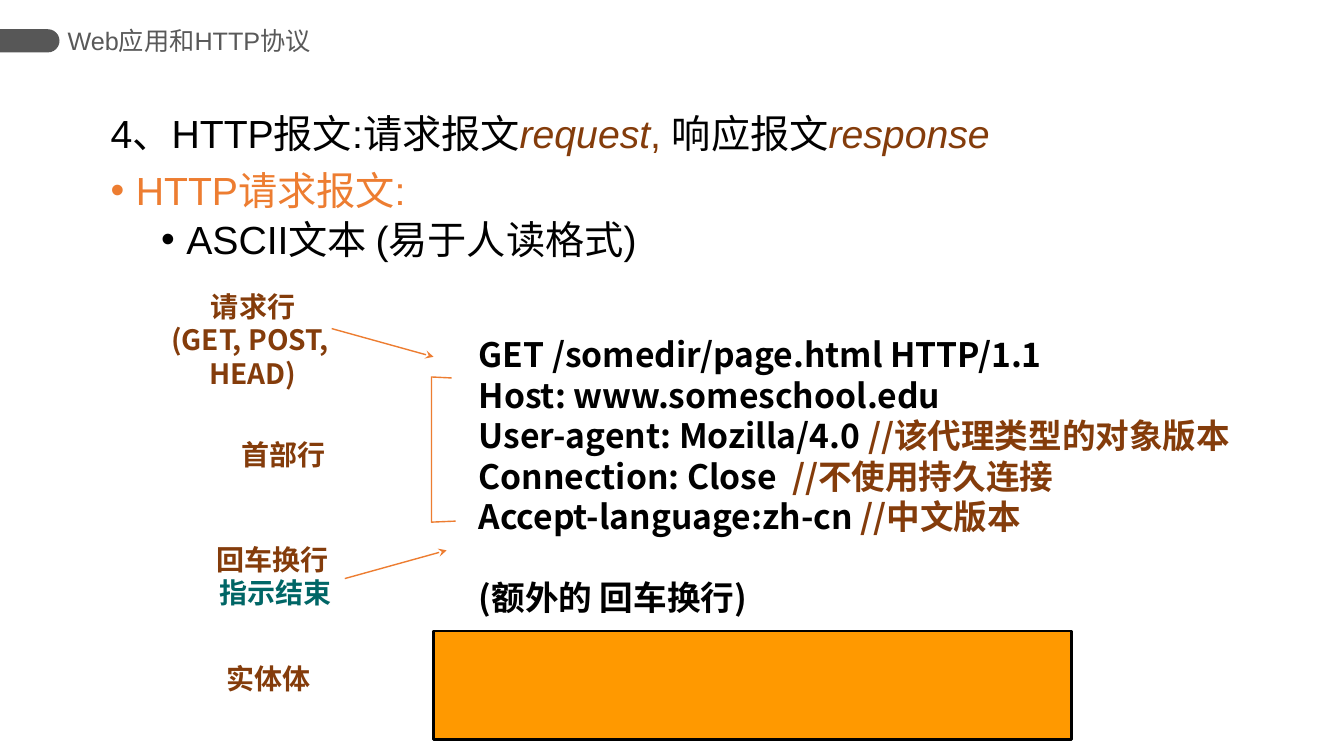
import dataclasses

import pptx
import pptx.dml.color
import pptx.enum.shapes
import pptx.enum.text
import pptx.oxml.ns
import pptx.util
from lxml import etree

Inches, Pt = pptx.util.Inches, pptx.util.Pt
RGB = pptx.dml.color.RGBColor.from_string
SHAPE = pptx.enum.shapes.MSO_SHAPE
ALIGN = pptx.enum.text.PP_ALIGN
qn = pptx.oxml.ns.qn


@dataclasses.dataclass(frozen=True)
class Theme:
    black: str = "000000"
    brown: str = "843C0B"
    teal: str = "006666"
    orange: str = "ED7D31"
    amber: str = "FF9900"
    pill: str = "575757"
    header: str = "595959"
    sans: str = "Arial"
    bold: str = "Noto Sans CJK SC"
    comic: str = "Comic Neue"
    header_size: int = 18
    body_size: int = 28
    message_size: int = 24
    label_size: int = 20


theme = Theme()

prs = pptx.Presentation()
prs.slide_width, prs.slide_height = Inches(13.33), Inches(7.5)
s = prs.slides.add_slide(prs.slide_layouts[6])


def add_text(box, lines, font, size, bold=False, wrap=True):
    """Add a text box; each line is a list of (text, colour) runs."""
    tf = s.shapes.add_textbox(*map(Inches, box)).text_frame
    tf.word_wrap = wrap
    for i, line in enumerate(lines):
        p = tf.paragraphs[0] if i == 0 else tf.add_paragraph()
        for text, color in line:
            r = p.add_run()
            r.text = text
            r.font.name, r.font.size, r.font.bold = font, Pt(size), bold
            r.font.color.rgb = RGB(color)
        if bold:
            p.line_spacing = Pt(round(size * 1.21))
    return tf


# Header
pill = s.shapes.add_shape(SHAPE.ROUND_2_SAME_RECTANGLE,
                          Inches(0.18), Inches(0.11), Inches(0.23), Inches(0.59))
pill.rotation = 90
pill.adjustments[0] = 0.5
pill.shadow.inherit = False
pill.fill.solid()
pill.fill.fore_color.rgb = RGB(theme.pill)
pill.line.fill.background()

tf = add_text((0.67, 0.19, 2.63, 0.42), [[("Web应用和HTTP协议", theme.header)]],
              theme.sans, theme.header_size)
tf.margin_left = tf.margin_right = 0
tf.vertical_anchor = pptx.enum.text.MSO_ANCHOR.MIDDLE

# Heading and bullets
tf = add_text((1, 1.09, 11.33, 1.7), [
    [("4、HTTP报文:请求报文", theme.black), ("request", theme.brown), (", ", theme.brown),
     ("响应报文", theme.black), ("response", theme.brown)],
    [("HTTP请求报文:", theme.orange)],
    [("ASCII文本 (易于人读格式)", theme.black)],
], theme.sans, theme.body_size)
heading, *bullets = tf.paragraphs
for r in heading.runs:
    r.font.italic = r.text in ("request", "response")
heading.line_spacing = 0.9
for level, (p, indent, before) in enumerate(zip(bullets, (0.25, 0.75), (10, 5))):
    p.level = level
    pPr = p._p.get_or_add_pPr()
    pPr.set("marL", str(Inches(indent)))
    pPr.set("indent", str(Inches(-0.25)))
    etree.SubElement(pPr, qn("a:buFont")).set("typeface", theme.sans)
    etree.SubElement(pPr, qn("a:buChar")).set("char", "•")
    p.line_spacing = 0.9
    p.space_before = Pt(before)

# Request message
tf = add_text((4.65, 3.26, 7.97, 2.93), [
    [("GET /somedir/page.html HTTP/1.1", theme.black)],
    [("Host: www.someschool.edu", theme.black)],
    [("User-agent: Mozilla/4.0 ", theme.black), ("//该代理类型的对象版本", theme.brown)],
    [("Connection: Close  ", theme.black), ("//不使用持久连接", theme.brown)],
    [("Accept-language:zh-cn ", theme.black), ("//中文版本", theme.brown)],
    [("(额外的 回车换行)", theme.black)],
], theme.bold, theme.message_size, bold=True)
tf.paragraphs[-1].space_before = tf.paragraphs[-1].line_spacing

# Labels on the left
request_line = add_text((1.27, 2.82, 2.48, 1.11),
                        [[(text, theme.brown)] for text in ("请求行", "(GET, POST, ", "HEAD)")],
                        theme.bold, theme.label_size, bold=True)
line_end = add_text((2.01, 5.33, 1.45, 0.77),
                    [[("回车换行 ", theme.brown)], [("指示结束", theme.teal)]],
                    theme.bold, theme.label_size, bold=True, wrap=False)
for p in request_line.paragraphs + line_end.paragraphs:
    p.alignment = ALIGN.CENTER
for text, left, top in (("首部行", 2.3, 4.29), ("实体体", 2.15, 6.51)):
    add_text((left, top, 1.98, 0.44), [[(text, theme.brown)]],
             theme.comic, theme.label_size, bold=True)

# Arrows from labels to message lines
for ends in ((3.29, 3.26, 4.3, 3.54), (3.42, 5.74, 4.43, 5.46)):
    arrow = s.shapes.add_connector(pptx.enum.shapes.MSO_CONNECTOR.STRAIGHT,
                                   *map(Inches, ends))
    arrow.line.color.rgb = RGB(theme.orange)
    arrow.line.width = Pt(1)
    etree.SubElement(arrow.line._get_or_add_ln(), qn("a:tailEnd")).set("type", "stealth")
    etree.SubElement(arrow._element.spPr, qn("a:effectLst"))

# Bracket around the header lines
outline = s.shapes.build_freeform(Inches(4.48), Inches(3.75))
outline.add_line_segments([(Inches(x), Inches(y)) for x, y in
                           ((4.28, 3.74), (4.28, 5.18), (4.52, 5.17))], close=False)
bracket = outline.convert_to_shape()
bracket.shadow.inherit = False
bracket.fill.background()
bracket.line.color.rgb = RGB(theme.orange)
bracket.line.width = Pt(1)

# Entity body
entity = s.shapes.add_shape(SHAPE.RECTANGLE,
                            Inches(4.3), Inches(6.26), Inches(6.33), Inches(1.08))
entity.shadow.inherit = False
entity.fill.solid()
entity.fill.fore_color.rgb = RGB(theme.amber)
entity.line.color.rgb = RGB(theme.black)
entity.line.width = Pt(2)

prs.save("out.pptx")
